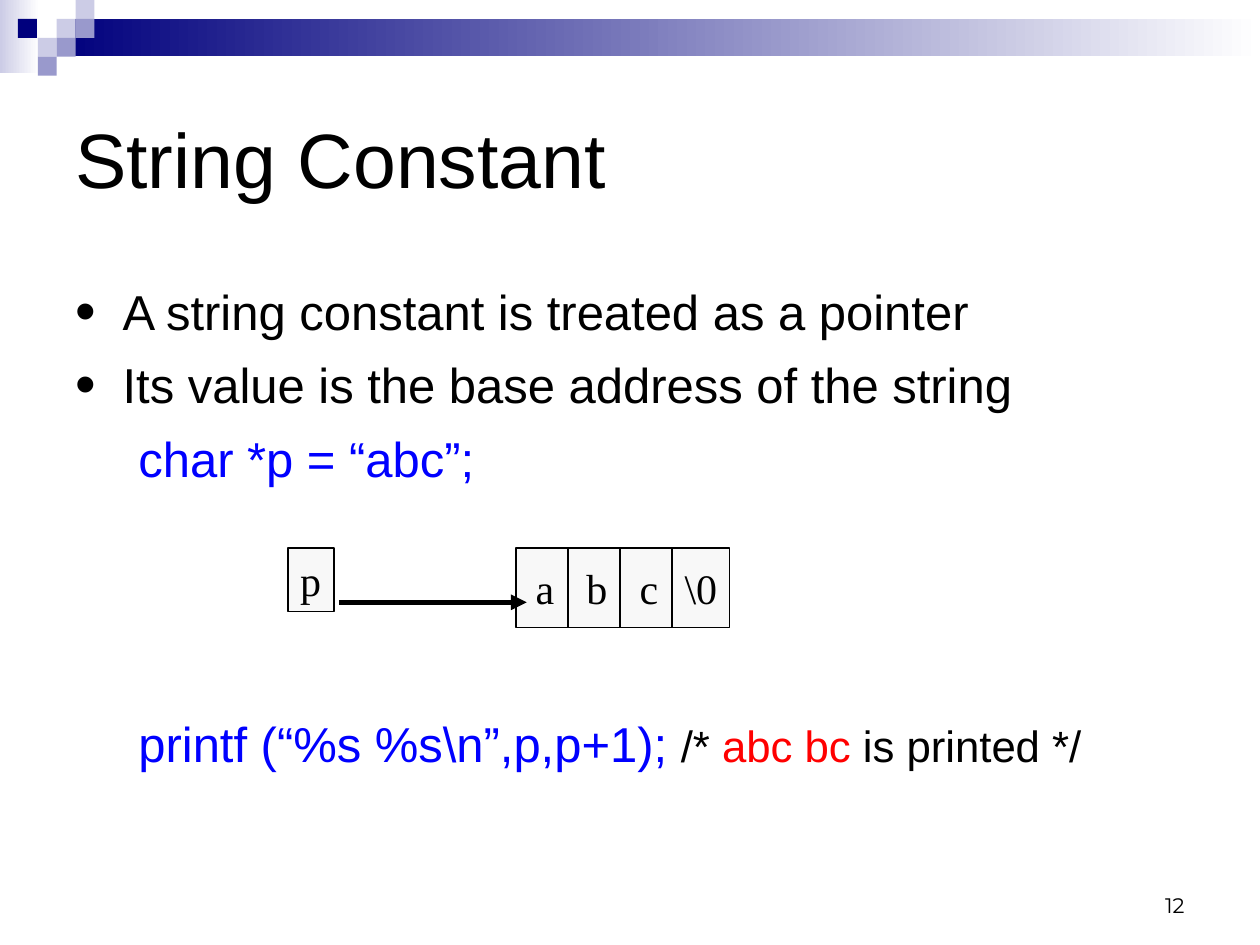
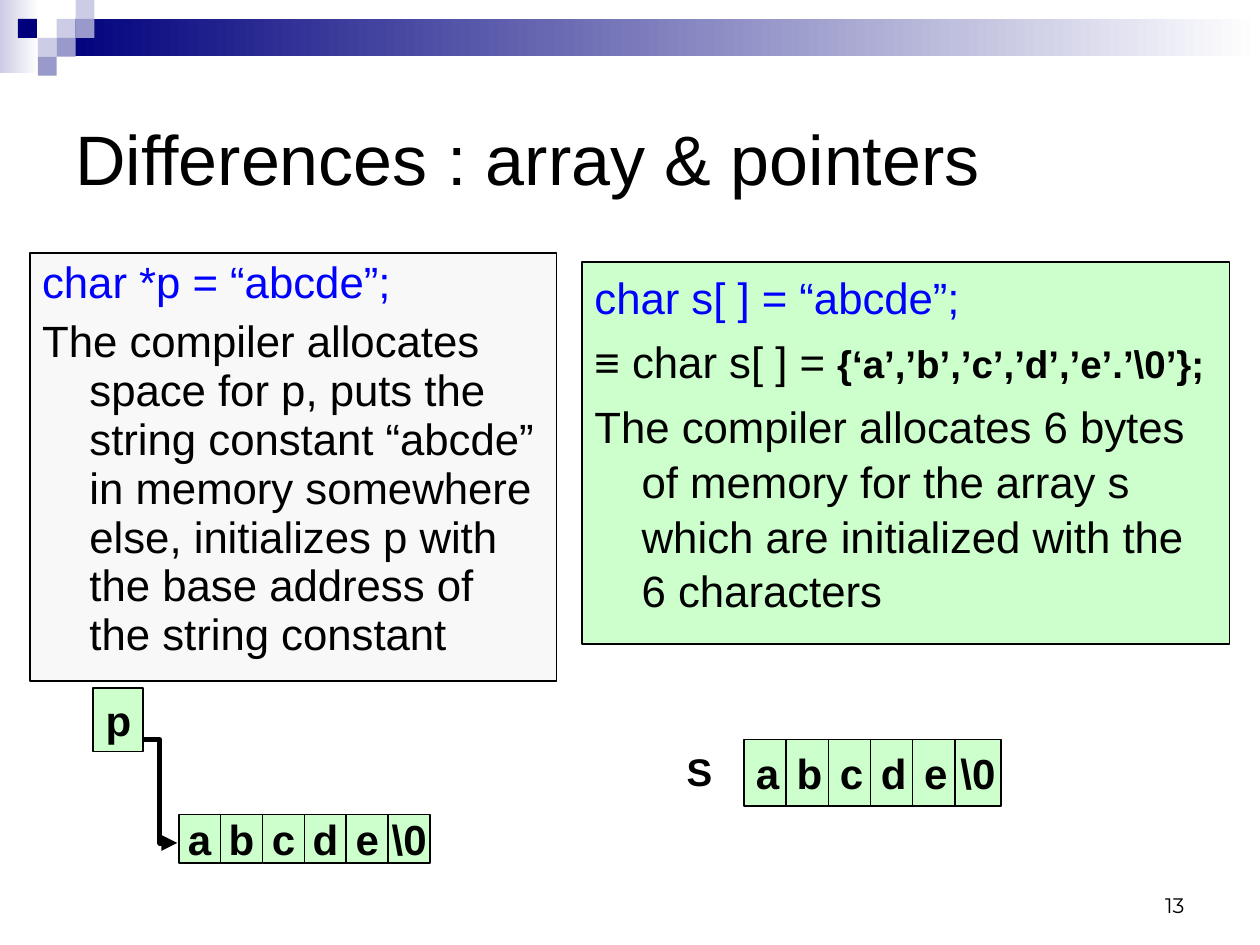
from lxml import etree
from pptx import Presentation
from pptx.dml.color import RGBColor
from pptx.enum import shapes, text
from pptx.oxml import ns
from pptx.util import Pt

COLORS = {
    "ink": "000000", "code": "0000FF", "output": "FF0000", "white": "FFFFFF",
    "navy": "00007D", "lilac": "CCCCE6", "violet": "9999CC",
    "gray": "F8F8F8", "green": "CCFFCC",
}
SQUARE = 10.8       # side of the squares in the corner
LINE_SPACING = 1.04
HANGING = (27, -27)
CODE_INDENT = (58.5, -22.5)
MIDDLE = text.MSO_ANCHOR.MIDDLE
CENTER = text.PP_ALIGN.CENTER


def color(name):
    return RGBColor.from_string(COLORS[name])


def sub(parent, tag, **attributes):
    return etree.SubElement(parent, ns.qn(tag), attributes)


def add_box(slide, left, top, width, height, fill, line=None):
    """Rectangle; a pair of fills makes a left-to-right gradient."""
    box = slide.shapes.add_shape(shapes.MSO_SHAPE.RECTANGLE,
                                 Pt(left), Pt(top), Pt(width), Pt(height))
    box.shadow.inherit = False
    if isinstance(fill, tuple):
        box.fill.gradient()
        box.fill.gradient_angle = 0
        for stop, name in zip(box.fill.gradient_stops, fill):
            stop.color.rgb = color(name)
    else:
        box.fill.solid()
        box.fill.fore_color.rgb = color(fill)
    if line:
        box.line.color.rgb = color(line)
        box.line.width = Pt(1)
    else:
        box.line.fill.background()
    return box


def add_text_box(slide, left, top, width, height):
    return slide.shapes.add_textbox(Pt(left), Pt(top), Pt(width), Pt(height))


def write(shape, paragraphs, size=25, font="Arial", bold=False, ink="ink",
          align=text.PP_ALIGN.LEFT, anchor=text.MSO_ANCHOR.TOP, wrap=True,
          spacing=None, inset=None):
    """Each paragraph is a string or a dict: runs, indent, bullet, before.

    Each run is a string or a pair of a string and its own format.
    """
    frame = shape.text_frame
    frame.word_wrap = wrap
    frame.vertical_anchor = anchor
    if inset is not None:
        frame.margin_left = frame.margin_right = Pt(inset)
        frame.margin_top = frame.margin_bottom = Pt(inset)
    if isinstance(paragraphs, str):
        paragraphs = [paragraphs]
    for number, content in enumerate(paragraphs):
        if isinstance(content, str):
            content = {"runs": [content]}
        paragraph = frame.add_paragraph() if number else frame.paragraphs[0]
        paragraph.alignment = align
        if spacing:
            paragraph.line_spacing = spacing
        if number:
            paragraph.space_before = Pt(content.get("before", 0))
        if "indent" in content:
            properties = paragraph._p.get_or_add_pPr()
            margin, first = content["indent"]
            properties.set("marL", str(Pt(margin)))
            properties.set("indent", str(Pt(first)))
            if content.get("bullet"):
                sub(properties, "a:buSzPct", val="120000")
                sub(properties, "a:buFont", typeface="Arial")
                sub(properties, "a:buChar", char="•")
        for item in content["runs"]:
            words, own = (item, {}) if isinstance(item, str) else item
            run = paragraph.add_run()
            run.text = words
            run.font.name = font
            run.font.size = Pt(own.get("size", size))
            run.font.bold = own.get("bold", bold)
            run.font.color.rgb = color(own.get("ink", ink))


def add_cells(slide, characters, left, top, pitch, width, height, fill, **style):
    """Row of memory cells, one character in each."""
    for index, character in enumerate(characters):
        cell = add_box(slide, left + index * pitch, top, width, height, fill, "ink")
        write(cell, character, size=24, align=CENTER, anchor=MIDDLE,
              wrap=False, **style)


def add_pointer_box(slide, left, top, width, fill, **style):
    box = add_box(slide, left, top, width, 36.3, fill, "ink")
    write(box, "p", size=24, wrap=False, **style)


def add_arrow(slide, kind, start, end):
    arrow = slide.shapes.add_connector(kind, *map(Pt, start + end))
    arrow.line.color.rgb = color("ink")
    arrow.line.width = Pt(3)
    sub(arrow.line._get_or_add_ln(), "a:tailEnd", type="triangle")
    sub(arrow._element.spPr, "a:effectLst")


def start_slide(deck, title, number, title_size):
    """Blank slide with the corner band, title and page number."""
    slide = deck.slides.add_slide(deck.slide_layouts[6])

    # Gradient bands
    add_box(slide, 0, 0, 22.5, 42, ("lilac", "white"))
    add_box(slide, 3 * SQUARE, SQUARE, 687.6, 21.4, ("navy", "white"))

    # Corner squares: column, row and fill
    for column, row, fill in [(3, 1, "lilac"), (4, 0, "lilac"), (4, 1, "violet"),
                              (2, 2, "lilac"), (0.95, 1, "navy"),
                              (3, 2, "violet"), (2, 3, "violet")]:
        add_box(slide, column * SQUARE, row * SQUARE, SQUARE, SQUARE, fill)

    write(add_text_box(slide, 516, 492, 168, 36), str(number), size=12,
          font="Montserrat", align=text.PP_ALIGN.RIGHT,
          anchor=text.MSO_ANCHOR.BOTTOM)
    write(add_text_box(slide, 36, 36, 648, 108), title, size=title_size,
          anchor=MIDDLE)
    return slide


def build_string_constant(deck):
    slide = start_slide(deck, "String Constant", 12, 44)

    # Bullets and code; the gap before printf holds the diagram
    code = {"ink": "code"}
    write(add_text_box(slide, 36, 156, 648, 306), [
        {"runs": ["A string constant is treated as a pointer"],
         "indent": HANGING, "bullet": True},
        {"runs": ["Its value is the base address of the string"],
         "indent": HANGING, "bullet": True, "before": 7},
        {"runs": [("char *p = “abc”;", code)],
         "indent": CODE_INDENT, "before": 7},
        {"runs": [("printf (“%s %s\\n”,p,p+1); ", code),
                  ("/* ", {"size": 25}),
                  ("abc bc", {"size": 25, "ink": "output"}),
                  (" is printed */", {"size": 25})],
         "indent": CODE_INDENT, "before": 128},
    ], size=28, spacing=LINE_SPACING)

    # Pointer diagram
    serif = {"font": "Times New Roman"}
    add_cells(slide, ["a", "b", "c", "\\0"], 295, 313.2, 29.7, 32.8, 45.4,
              "gray", **serif)
    add_pointer_box(slide, 164.4, 313.2, 26.6, "gray", **serif)
    add_arrow(slide, shapes.MSO_CONNECTOR.STRAIGHT, (193.7, 344.2), (301, 344.2))


def build_differences(deck):
    slide = start_slide(deck, "Differences : array & pointers", 13, 40)
    code = {"ink": "code"}

    # Pointer explanation
    write(add_box(slide, 17, 144.6, 301, 244.4, "gray", "ink"), [
        {"runs": [("char *p = “abcde”;", code)], "indent": HANGING},
        {"runs": ["The compiler allocates space for p, puts the string constant "
                  "“abcde” in memory somewhere else, initializes p with the base "
                  "address of the string constant"],
         "indent": HANGING, "before": 6.2},
    ], spacing=0.9 * LINE_SPACING)

    # Array explanation
    write(add_box(slide, 332.6, 149.9, 370, 218, "green", "ink"), [
        {"runs": [("char s[ ] = “abcde”;", code)], "indent": HANGING},
        {"runs": ["≡ char s[ ] = ",
                  ("{‘a’,’b’,’c’,’d’,’e’.’\\0’};", {"size": 22, "bold": True})],
         "indent": HANGING, "before": 5.5},
        {"runs": ["The compiler allocates 6 bytes of memory for the array s "
                  "which are initialized with the 6 characters"],
         "indent": HANGING, "before": 6.2},
    ], spacing=LINE_SPACING)

    # Array diagram
    characters = ["a", "b", "c", "d", "e", "\\0"]
    add_cells(slide, characters, 425.3, 422.5, 24.05, 26.5, 38, "green", bold=True)
    write(add_text_box(slide, 392.4, 427.7, 27.4, 26.6), "S", size=22, bold=True,
          inset=0)

    # Pointer diagram
    add_cells(slide, characters, 102.1, 465.4, 23.95, 23.95, 27.6, "green", bold=True)
    add_pointer_box(slide, 53.3, 393.1, 28.7, "green", bold=True)
    add_arrow(slide, shapes.MSO_CONNECTOR.ELBOW, (81.4, 422.8), (101.3, 481.7))


def main():
    deck = Presentation()
    deck.slide_width, deck.slide_height = Pt(720), Pt(540)
    build_string_constant(deck)
    build_differences(deck)
    deck.save("out.pptx")


if __name__ == "__main__":
    main()
